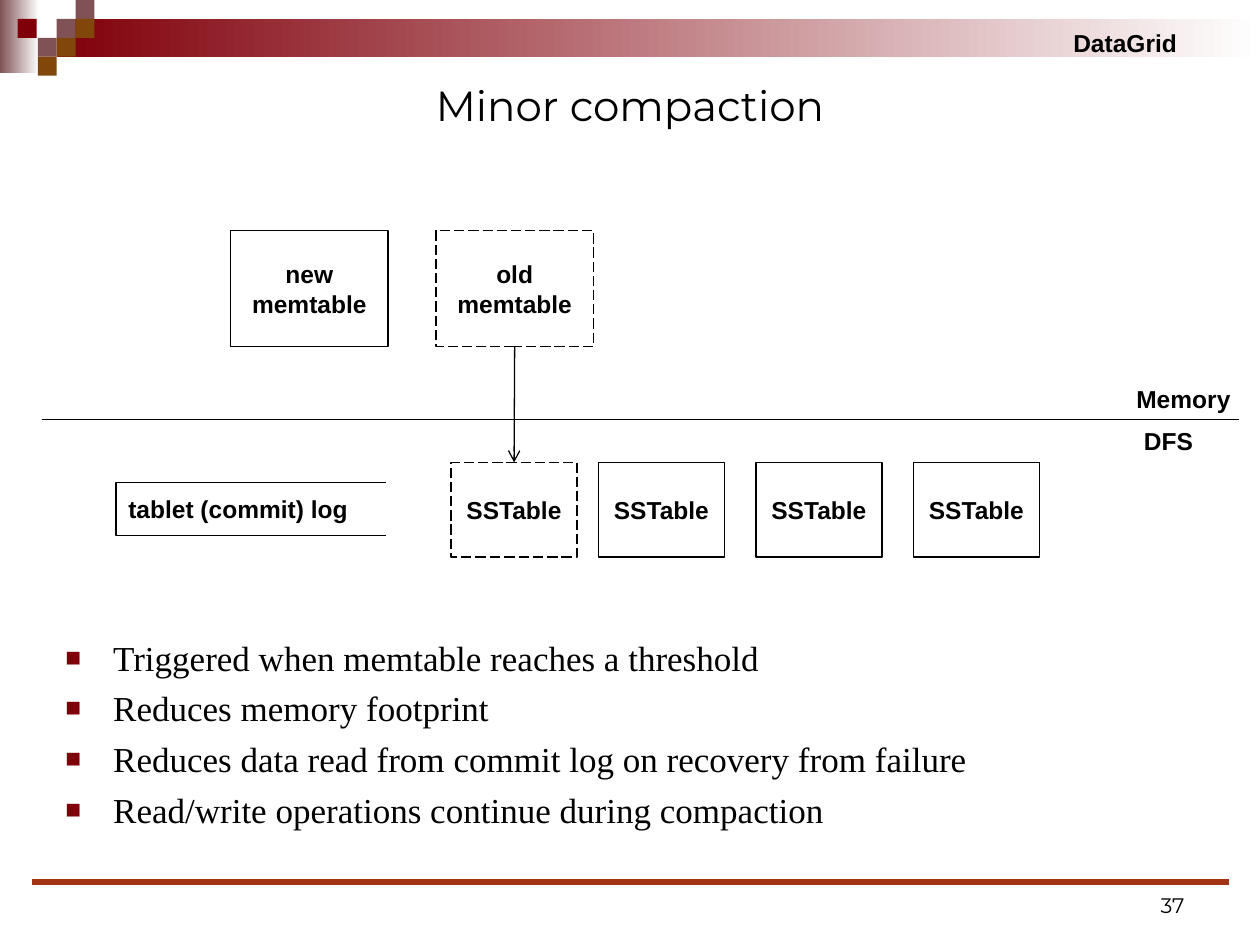
from lxml import etree
from pptx import Presentation
from pptx.dml.color import RGBColor
from pptx.enum.dml import MSO_LINE
from pptx.enum.shapes import MSO_CONNECTOR, MSO_SHAPE
from pptx.enum.text import MSO_ANCHOR, PP_ALIGN
from pptx.oxml.ns import qn
from pptx.util import Inches, Pt

RECT = MSO_SHAPE.RECTANGLE
STRAIGHT = MSO_CONNECTOR.STRAIGHT
DASH = MSO_LINE.LONG_DASH
TOP, MIDDLE, BOTTOM = MSO_ANCHOR.TOP, MSO_ANCHOR.MIDDLE, MSO_ANCHOR.BOTTOM
LEFT, CENTER, RIGHT = PP_ALIGN.LEFT, PP_ALIGN.CENTER, PP_ALIGN.RIGHT

COLORS = {"black": "000000", "white": "FFFFFF", "red": "80000A",
          "mauve": "805255", "brown": "81460A", "rule": "A13214"}
TILE = 0.15
TILES = [(0.45, 0.15, "mauve"), (0.6, 0, "mauve"), (0.6, 0.15, "brown"),
         (0.3, 0.3, "mauve"), (0.14, 0.15, "red"), (0.45, 0.3, "brown"),
         (0.3, 0.45, "brown")]
BULLETS = ["Triggered when memtable reaches a threshold",
           "Reduces memory footprint",
           "Reduces data read from commit log on recovery from failure",
           "Read/write operations continue during compaction"]


def rgb(name):
    return RGBColor.from_string(COLORS[name])


def write(tf, lines, size=14, font="Arial", bold=True, align=LEFT, anchor=TOP, wrap=True):
    """Fill a text frame with one paragraph per line and return the paragraphs."""
    tf.word_wrap = wrap
    tf.vertical_anchor = anchor
    tf.text = "\n".join(lines)
    for p in tf.paragraphs:
        p.alignment = align
        p.font.size, p.font.name, p.font.bold = Pt(size), font, bold
        p.font.color.rgb = rgb("black")
    return tf.paragraphs


def add_text(s, x, y, w, h, lines, **style):
    tb = s.shapes.add_textbox(Inches(x), Inches(y), Inches(w), Inches(h))
    return write(tb.text_frame, lines, **style)


def add_block(s, x, y, w, h, color, fade=False):
    """Add a borderless rectangle, solid or fading to white."""
    sp = s.shapes.add_shape(RECT, Inches(x), Inches(y), Inches(w), Inches(h))
    sp.shadow.inherit = False
    sp.line.fill.background()
    if fade:
        sp.fill.gradient()
        sp.fill.gradient_angle = 0
        for stop, name in zip(sp.fill.gradient_stops, (color, "white")):
            stop.color.rgb = rgb(name)
    else:
        sp.fill.solid()
        sp.fill.fore_color.rgb = rgb(color)


def outline(sp):
    sp.shadow.inherit = False
    sp.fill.background()
    sp.line.color.rgb = rgb("black")
    sp.line.width = Pt(0.75)


def add_box(s, x, y, w, h, lines, dashed=False):
    """Add an outlined box with a centred label."""
    sp = s.shapes.add_shape(RECT, Inches(x), Inches(y), Inches(w), Inches(h))
    outline(sp)
    if dashed:
        sp.line.dash_style = DASH
    write(sp.text_frame, lines, align=CENTER, anchor=MIDDLE, wrap=False)
    return sp


def add_line(s, x1, y1, x2, y2, color="black", width=0.75):
    cx = s.shapes.add_connector(STRAIGHT, Inches(x1), Inches(y1), Inches(x2), Inches(y2))
    cx.line.color.rgb = rgb(color)
    cx.line.width = Pt(width)
    etree.SubElement(cx._element.spPr, qn("a:effectLst"))
    return cx


def add_arrow(s, start, end):
    """Join the bottom of one box to the top of another with an arrow."""
    cx = add_line(s, 0, 0, 0, 0)
    cx.begin_connect(start, 2)
    cx.end_connect(end, 0)
    etree.SubElement(cx.line._get_or_add_ln(), qn("a:tailEnd"), type="arrow")


def add_log(s, x, y, w, h, label):
    """Add a log strip that is open on its right side."""
    fb = s.shapes.build_freeform(Inches(x + w), Inches(y))
    fb.add_line_segments([(Inches(a), Inches(b)) for a, b in
                          ((x, y), (x, y + h), (x + w, y + h))], close=False)
    sp = fb.convert_to_shape()
    outline(sp)
    write(sp.text_frame, [label], anchor=MIDDLE, wrap=False)


def add_bullets(s, x, y, w, h, lines):
    for p in add_text(s, x, y, w, h, lines, size=20, font="Times New Roman", bold=False):
        p.space_before = Pt(5)
        pPr = p._p.get_or_add_pPr()
        pPr.set("marL", str(Inches(0.38)))
        pPr.set("indent", str(-Inches(0.38)))
        bullet = [etree.Element(qn("a:buClr")), etree.Element(qn("a:buSzPct"), val="75000"),
                  etree.Element(qn("a:buFont"), typeface="Arial"),
                  etree.Element(qn("a:buChar"), char="■")]
        etree.SubElement(bullet[0], qn("a:srgbClr"), val=COLORS["red"])
        at = list(pPr).index(pPr.find(qn("a:defRPr")))
        pPr[at:at] = bullet


def add_frame(s):
    """Add the banner, the footer rule, the topic and the page number."""
    add_block(s, 0, 0, 0.31, 0.58, "mauve", fade=True)
    add_block(s, 0.45, 0.15, 9.55, 0.3, "red", fade=True)
    for x, y, color in TILES:
        add_block(s, x, y, TILE, TILE, color)
    add_line(s, 0.25, 7, 9.75, 7, "rule", 3)
    add_text(s, 8.42, 0.17, 1.17, 0.33, ["DataGrid"])
    add_text(s, 7.17, 6.83, 2.33, 0.5, ["37"], size=12, font="Montserrat",
             bold=False, align=RIGHT, anchor=BOTTOM)


def add_diagram(s):
    """Add the memory and file system halves of the diagram."""
    add_box(s, 1.83, 1.83, 1.25, 0.92, ["new", "memtable"])
    old = add_box(s, 3.46, 1.83, 1.25, 0.92, ["old", "memtable"], dashed=True)
    add_line(s, 0.33, 3.33, 9.83, 3.33)
    add_text(s, 8.92, 3, 0.95, 0.34, ["Memory"], wrap=False)
    add_text(s, 8.98, 3.33, 0.61, 0.34, ["DFS"], wrap=False)
    add_log(s, 0.92, 3.83, 2.14, 0.42, "tablet (commit) log")
    flushed = add_box(s, 3.58, 3.67, 1, 0.75, ["SSTable"], dashed=True)
    for i in range(3):
        add_box(s, 4.75 + 1.25 * i, 3.67, 1, 0.75, ["SSTable"])
    add_arrow(s, old, flushed)


def main():
    prs = Presentation()
    prs.slide_width, prs.slide_height = Inches(10), Inches(7.5)
    s = prs.slides.add_slide(prs.slide_layouts[6])
    add_frame(s)
    add_text(s, 0.5, 0.5, 9, 0.67, ["Minor compaction"], size=24, font="Montserrat",
             bold=False, align=CENTER, anchor=MIDDLE)
    add_diagram(s)
    add_bullets(s, 0.42, 5, 9, 1.42, BULLETS)
    prs.save("out.pptx")


if __name__ == "__main__":
    main()
